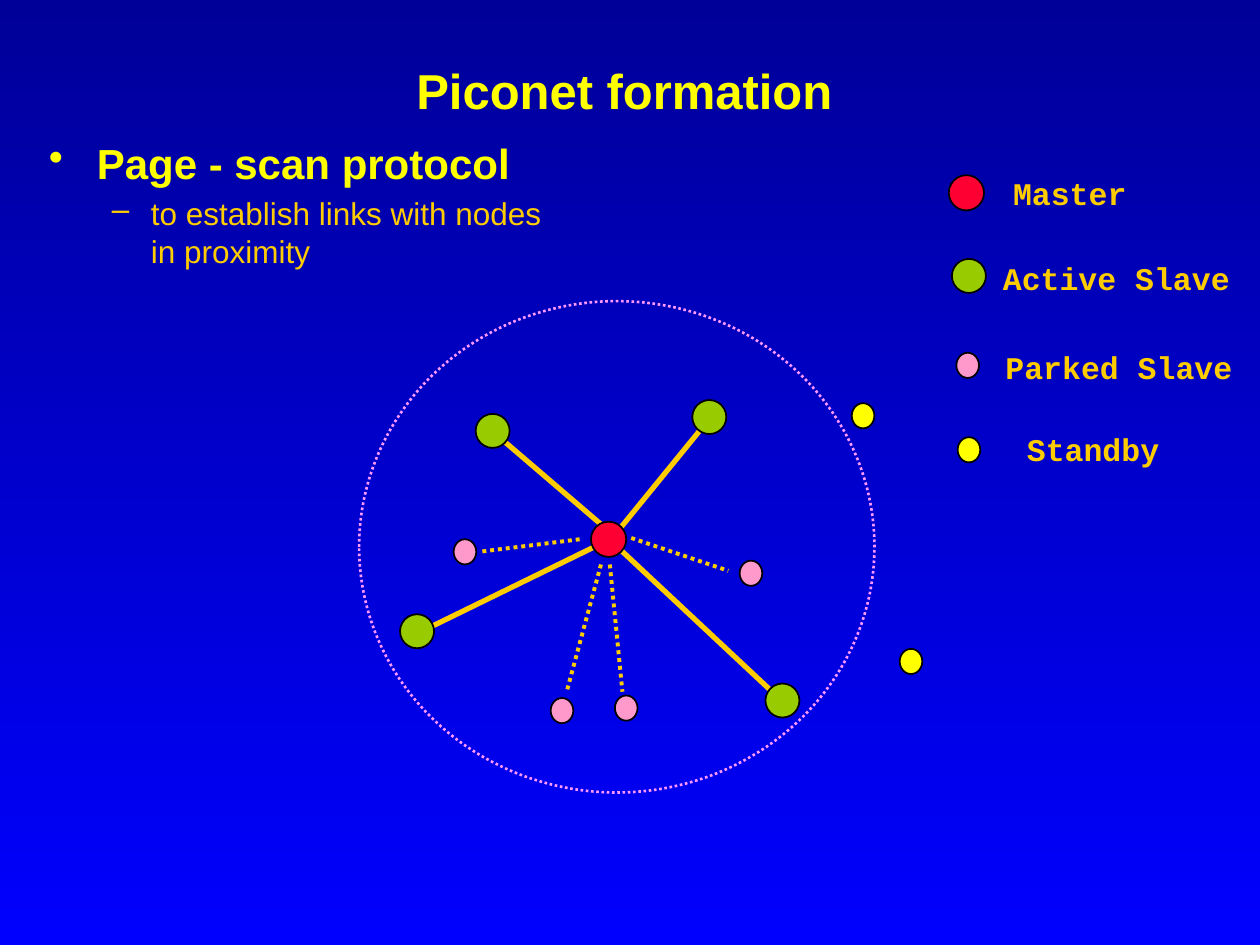
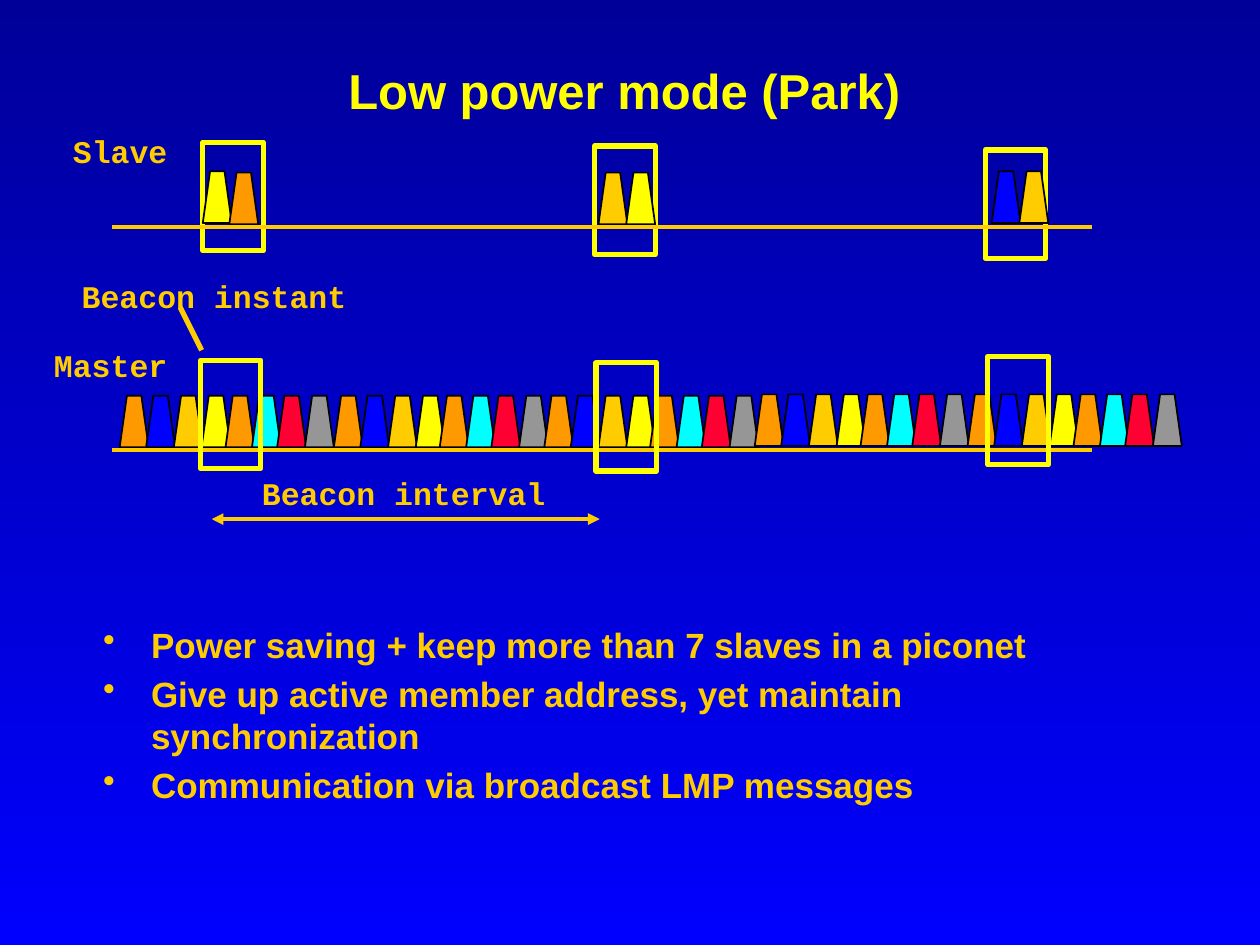
from lxml import etree
from pptx import Presentation
from pptx.dml.color import RGBColor
from pptx.enum.dml import MSO_LINE
from pptx.enum.shapes import MSO_CONNECTOR, MSO_SHAPE
from pptx.enum.text import MSO_ANCHOR, MSO_AUTO_SIZE, PP_ALIGN
from pptx.oxml.ns import qn
from pptx.util import Inches, Pt

OVAL, RECTANGLE, TRAPEZOID = MSO_SHAPE.OVAL, MSO_SHAPE.RECTANGLE, MSO_SHAPE.TRAPEZOID
DOTTED = MSO_LINE.ROUND_DOT
CENTER, LEFT = PP_ALIGN.CENTER, PP_ALIGN.LEFT
MIDDLE, TOP = MSO_ANCHOR.MIDDLE, MSO_ANCHOR.TOP

color = RGBColor.from_string
YELLOW, GOLD, RED, GREEN = "FFFF00", "FFCC00", "FF0033", "99CC00"
PINK, VIOLET, BLACK = "FF99CC", "FF99FF", "000000"
ORANGE, BLUE, CYAN, GRAY = "FF9900", "0000FF", "00FFFF", "969696"
TITLE_ONLY = 5


def add_shape(slide, kind, box, fill=None, outline=BLACK, width=1, dash=None):
    """Add a preset shape; box is left, top, width, height in inches."""
    shape = slide.shapes.add_shape(kind, *map(Inches, box))
    shape.shadow.inherit = False
    if fill:
        shape.fill.solid()
        shape.fill.fore_color.rgb = color(fill)
    else:
        shape.fill.background()
    shape.line.color.rgb = color(outline)
    shape.line.width = Pt(width)
    if dash:
        shape.line.dash_style = dash


def add_line(slide, start, end, width, dash=None, arrows=False):
    connector = slide.shapes.add_connector(
        MSO_CONNECTOR.STRAIGHT, *map(Inches, (*start, *end)))
    connector.line.color.rgb = color(GOLD)
    connector.line.width = Pt(width)
    if dash:
        connector.line.dash_style = dash
    properties = connector._element.spPr
    if arrows:
        for tag in ("a:headEnd", "a:tailEnd"):
            etree.SubElement(properties.find(qn("a:ln")), qn(tag), type="triangle")
    etree.SubElement(properties, qn("a:effectLst"))


presentation = Presentation()
presentation.slide_width, presentation.slide_height = Inches(10), Inches(7.5)

background = presentation.slide_master.background.fill
background.gradient()
background.gradient_angle = 270
for stop, shade in zip(background.gradient_stops, ("000099", BLUE)):
    stop.color.rgb = color(shade)

# Label: text, left, top, width. Bullet: text, symbol, margin, hanging, size, colour, bold.
LABEL_HEIGHT = 0.4
contents = [
    {
        "title": "Piconet formation",
        "label_style": (CENTER, MIDDLE),
        "labels": [
            ("Master", 7.94, 1.33, 1.1),
            ("Active Slave", 7.86, 2.01, 2),
            ("Parked Slave", 7.88, 2.71, 2),
            ("Standby", 8.05, 3.36, 1.25),
        ],
        "body_box": (0.29, 1.04, 4.24, 1.75),
        "bullets": [
            ("Page - scan protocol", "•", 0.38, 0.38, 24, YELLOW, True),
            ("to establish links with nodes in proximity",
             "–", 0.81, 0.31, 18, GOLD, False),
        ],
    },
    {
        "title": "Low power mode (Park)",
        "label_style": (LEFT, TOP),
        "labels": [
            ("Master", 0.33, 2.7, 1.1),
            ("Slave", 0.48, 1, 0.95),
            ("Beacon interval", 1.98, 3.71, 2.45),
            ("Beacon instant", 0.55, 2.15, 2.3),
        ],
        "body_box": (0.72, 4.9, 8.52, 1.69),
        "bullets": [
            (text, "•", 0.38, 0.38, 20, GOLD, True)
            for text in (
                "Power saving + keep more than 7 slaves in a piconet",
                "Give up active member address, yet maintain synchronization",
                "Communication via broadcast LMP messages",
            )
        ],
    },
]

# Titles, labels and bullets of both slides
for content in contents:
    slide = presentation.slides.add_slide(presentation.slide_layouts[TITLE_ONLY])
    title = slide.shapes.title
    title.left, title.top, title.width, title.height = map(
        Inches, (1.08, 0.42, 7.75, 0.58))
    frame = title.text_frame
    frame.margin_left = frame.margin_right = frame.margin_top = frame.margin_bottom = 0
    frame.vertical_anchor = MIDDLE
    frame.auto_size = MSO_AUTO_SIZE.NONE
    paragraph = frame.paragraphs[0]
    paragraph.alignment = CENTER
    run = paragraph.add_run()
    run.text = content["title"]
    run.font.name, run.font.size, run.font.bold = "Arial", Pt(28), True
    run.font.color.rgb = color(YELLOW)

    for text, left, top, width in content["labels"]:
        label = slide.shapes.add_textbox(*map(Inches, (left, top, width, LABEL_HEIGHT)))
        frame = label.text_frame
        frame.word_wrap = False
        frame.auto_size = MSO_AUTO_SIZE.SHAPE_TO_FIT_TEXT
        paragraph = frame.paragraphs[0]
        paragraph.alignment, frame.vertical_anchor = content["label_style"]
        run = paragraph.add_run()
        run.text = text
        run.font.name, run.font.size, run.font.bold = "Courier New", Pt(18), True
        run.font.color.rgb = color(GOLD)

    body = slide.shapes.add_textbox(*map(Inches, content["body_box"]))
    frame = body.text_frame
    frame.word_wrap = True
    for index, bullet in enumerate(content["bullets"]):
        text, symbol, margin, hanging, size, ink, bold = bullet
        paragraph = frame.add_paragraph() if index else frame.paragraphs[0]
        paragraph.space_before = Pt(0.2 * size)
        properties = paragraph._p.get_or_add_pPr()
        properties.set("marL", str(Inches(margin)))
        properties.set("indent", str(-Inches(hanging)))
        etree.SubElement(properties, qn("a:buChar"), char=symbol)
        run = paragraph.add_run()
        run.text = text
        run.font.name, run.font.size, run.font.bold = "Arial", Pt(size), bold
        run.font.color.rgb = color(ink)

piconet, park = presentation.slides

# Piconet: range, links, then nodes given by their centres
add_shape(piconet, OVAL, (2.85, 2.39, 4.09, 3.9), None, VIOLET, 1.5, DOTTED)

active_links = [
    ((4.9, 4.22), (5.56, 3.41)),
    ((4.91, 4.35), (6.16, 5.52)),
    ((4.78, 4.31), (3.43, 4.97)),
    ((4.78, 4.17), (4.01, 3.51)),
]
parked_links = [
    ((4.6, 4.28), (3.8, 4.38)),
    ((4.77, 4.48), (4.5, 5.48)),
    ((5.01, 4.27), (5.78, 4.53)),
    ((4.84, 4.48), (4.94, 5.49)),
]
for start, end in active_links:
    add_line(piconet, start, end, 3)
for start, end in parked_links:
    add_line(piconet, start, end, 2.25, DOTTED)

# Each kind: fill, width, height, centres; the last centre is its legend key
node_kinds = [
    (RED, 0.28, 0.28, [(4.83, 4.28), (7.67, 1.53)]),
    (GREEN, 0.27, 0.27,
     [(5.63, 3.31), (6.21, 5.56), (3.91, 3.42), (3.31, 5.01), (7.69, 2.19)]),
    (PINK, 0.18, 0.2,
     [(4.46, 5.64), (5.96, 4.55), (3.69, 4.38), (4.97, 5.62), (7.68, 2.9)]),
    (YELLOW, 0.18, 0.2, [(7.23, 5.25), (6.85, 3.3), (7.69, 3.57)]),
]
for fill, width, height, centres in node_kinds:
    for x, y in centres:
        add_shape(piconet, OVAL, (x - width / 2, y - height / 2, width, height), fill)

# Park: slots on two time axes, framed by beacon windows
SLOT_SIZE = (0.23, 0.41)
WINDOW_SIZE = (0.48, 0.86)
AXIS_LEFT, AXIS_RIGHT = 0.89, 8.67
slave_windows = [(1.61, 1.13), (4.72, 1.16), (7.82, 1.19)]
master_windows = [(1.59, 2.86), (4.73, 2.88), (7.84, 2.83)]
slot_cycle = [
    (0, ORANGE), (0.21, BLUE), (0.43, GOLD), (0.65, YELLOW),
    (0.84, ORANGE), (1.05, CYAN), (1.25, RED), (1.47, GRAY),
]
cycle_starts = [(0.95, 3.14), (2.65, 3.14), (4.32, 3.14), (5.99, 3.13), (7.68, 3.13)]
slave_slots = [
    (1.61, 1.36, YELLOW), (1.82, 1.37, ORANGE),
    (4.75, 1.37, GOLD), (4.97, 1.37, YELLOW),
    (7.87, 1.36, BLUE), (8.09, 1.36, GOLD),
]
master_slots = [
    (left + offset, top, fill)
    for left, top in cycle_starts
    for offset, fill in slot_cycle
]

for corner in slave_windows:
    add_shape(park, RECTANGLE, (*corner, *WINDOW_SIZE), None, YELLOW, 3)
for left, top, fill in slave_slots + master_slots:
    add_shape(park, TRAPEZOID, (left, top, *SLOT_SIZE), fill)
for axis_y in (1.8, 3.57):
    add_line(park, (AXIS_LEFT, axis_y), (AXIS_RIGHT, axis_y), 2.25)
for corner in master_windows:
    add_shape(park, RECTANGLE, (*corner, *WINDOW_SIZE), None, YELLOW, 3)

add_line(park, (1.43, 2.44), (1.6, 2.78), 3)
add_line(park, (1.68, 4.12), (4.76, 4.12), 2.25, arrows=True)

presentation.save("out.pptx")
